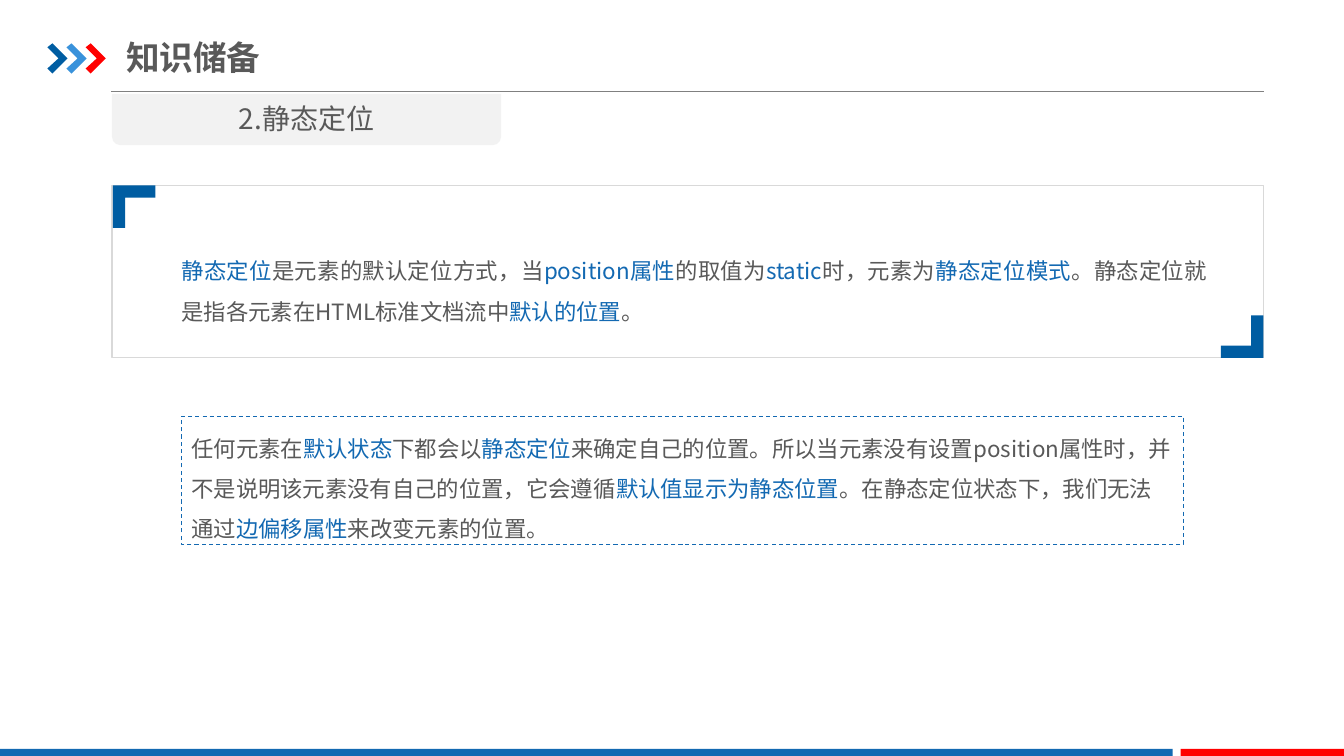
from dataclasses import dataclass

from lxml.etree import SubElement
from pptx import Presentation
from pptx.dml.color import RGBColor
from pptx.enum.dml import MSO_LINE_DASH_STYLE as Dash
from pptx.enum.shapes import MSO_CONNECTOR, MSO_SHAPE as Preset
from pptx.enum.text import MSO_ANCHOR as Anchor, MSO_AUTO_SIZE as AutoSize, PP_ALIGN as Align
from pptx.oxml.ns import qn
from pptx.shapes.autoshape import Shape
from pptx.slide import Slide
from pptx.util import Emu, Pt

PX = 9144  # 100 px to the inch
FONT = "Noto Sans CJK SC"
BLUE, NAVY, SKY, RED = "1369B2", "005DA2", "3992DB", "FF0000"
GREY, PALE, RULE, BORDER, WHITE = "595959", "F2F2F2", "808080", "D9D9D9", "FFFFFF"

Points = list[tuple[int, int]]


@dataclass(frozen=True)
class Box:
    left: int
    top: int
    width: int
    height: int

    def emu(self) -> list[Emu]:
        return [px(n) for n in (self.left, self.top, self.width, self.height)]


@dataclass(frozen=True)
class Panel:
    box: Box
    fill: str | None = None
    line: str | None = None
    weight: float = 0.75
    dash: Dash | None = None
    preset: Preset = Preset.RECTANGLE
    rotation: int = 0


@dataclass(frozen=True)
class Outline:
    points: Points
    fill: str


def px(length: int) -> Emu:
    return Emu(length * PX)


def rgb(colour: str) -> RGBColor:
    return RGBColor.from_string(colour)


def paint(shape: Shape, fill: str | None, line: str | None = None) -> None:
    shape.shadow.inherit = False
    if fill:
        shape.fill.solid()
        shape.fill.fore_color.rgb = rgb(fill)
    else:
        shape.fill.background()
    if line:
        shape.line.color.rgb = rgb(line)
    else:
        shape.line.fill.background()


def add_panel(slide: Slide, panel: Panel) -> Shape:
    shape = slide.shapes.add_shape(panel.preset, *panel.box.emu())
    paint(shape, panel.fill, panel.line)
    shape.rotation = panel.rotation
    if panel.line:
        shape.line.width = Pt(panel.weight)
        shape.line.dash_style = panel.dash
    return shape


def add_outline(slide: Slide, outline: Outline) -> None:
    start, *rest = outline.points
    builder = slide.shapes.build_freeform(*start, scale=PX)
    builder.add_line_segments(rest, close=True)
    paint(builder.convert_to_shape(), outline.fill)


def write(shape: Shape, text: str, *, size: int, bold: bool = False,
          align: Align = Align.LEFT, anchor: Anchor = Anchor.TOP, spacing: float = 1.0,
          insets: tuple[int, int] = (10, 5), fit: AutoSize = AutoSize.SHAPE_TO_FIT_TEXT) -> None:
    """Fill a shape with text; every second part between bars is highlighted."""
    frame = shape.text_frame
    frame.word_wrap, frame.auto_size, frame.vertical_anchor = True, fit, anchor
    frame.margin_left = frame.margin_right = px(insets[0])
    frame.margin_top = frame.margin_bottom = px(insets[1])
    paragraph = frame.paragraphs[0]
    paragraph.alignment, paragraph.line_spacing = align, spacing
    for index, part in enumerate(text.split("|")):
        if not part:
            continue
        run = paragraph.add_run()
        run.text = part
        font = run.font
        font.size, font.bold, font.name = Pt(size), bold, FONT
        font.color.rgb = rgb(BLUE if index % 2 else GREY)
        SubElement(run._r.get_or_add_rPr(), qn("a:ea"), typeface=FONT)


def add_rule(slide: Slide, left: int, right: int, y: int) -> None:
    rule = slide.shapes.add_connector(MSO_CONNECTOR.STRAIGHT, px(left), px(y), px(right), px(y))
    rule.line.color.rgb = rgb(RULE)
    rule.line.width = Pt(0.75)
    SubElement(rule._element.spPr, qn("a:effectLst"))


def chevron(left: int) -> Points:
    return [(left + x, y) for x, y in [(0, 47), (5, 43), (20, 58), (5, 73), (0, 68), (11, 58)]]


def corner(x: int, y: int, direction: int) -> Points:
    """Right-angled bracket with its tip at x, y, opening along both axes."""
    arm, thick = 42 * direction, 12 * direction
    return [(x, y), (x + arm, y), (x + arm, y + thick), (x + thick, y + thick),
            (x + thick, y + arm), (x, y + arm)]


CHEVRONS = [Outline(chevron(47 + 19 * i), fill) for i, fill in enumerate([NAVY, SKY, RED])]
FOOTER = [Panel(Box(0, 743, 1163, 9), BLUE), Panel(Box(1171, 743, 163, 9), RED)]
SECTION_TAB = Panel(Box(111, 93, 386, 51), PALE, preset=Preset.ROUND_2_SAME_RECTANGLE, rotation=180)
CARD = Panel(Box(111, 184, 1142, 171), line=BORDER, weight=1)
BRACKETS = [Outline(corner(112, 184, 1), NAVY), Outline(corner(1253, 355, -1), NAVY)]
NOTE = Panel(Box(180, 413, 994, 127), WHITE, BLUE, dash=Dash.DASH)

DEFINITION = ("|静态定位|是元素的默认定位方式，当|position属性|的取值为|static|时，元素为|静态定位模式|"
              "。静态定位就是指各元素在HTML标准文档流中|默认的位置|。")
EXPLANATION = ("任何元素在|默认状态|下都会以|静态定位|来确定自己的位置。所以当元素没有设置position属性时，"
               "并不是说明该元素没有自己的位置，它会遵循|默认值显示为静态位置|。在静态定位状态下，"
               "我们无法通过|边偏移属性|来改变元素的位置。")


def main() -> None:
    deck = Presentation()
    deck.slide_width, deck.slide_height = px(1333), px(750)
    slide = deck.slides.add_slide(deck.slide_layouts[5])

    title = slide.shapes.title
    title.left, title.top, title.width, title.height = Box(125, 29, 426, 55).emu()
    write(title, "知识储备", size=24, bold=True, anchor=Anchor.MIDDLE, insets=(0, 7),
          fit=AutoSize.NONE)

    add_rule(slide, 110, 1254, 91)
    for outline in CHEVRONS:
        add_outline(slide, outline)
    for panel in [*FOOTER, SECTION_TAB, CARD]:
        add_panel(slide, panel)

    section = slide.shapes.add_textbox(*Box(111, 96, 386, 44).emu())
    write(section, "2.静态定位", size=20, align=Align.CENTER)
    definition = slide.shapes.add_textbox(*Box(180, 242, 1017, 81).emu())
    write(definition, DEFINITION, size=16, align=Align.JUSTIFY, spacing=1.5, insets=(0, 0))
    for outline in BRACKETS:
        add_outline(slide, outline)
    write(add_panel(slide, NOTE), EXPLANATION, size=16, spacing=1.5)

    deck.save("out.pptx")


if __name__ == "__main__":
    main()
